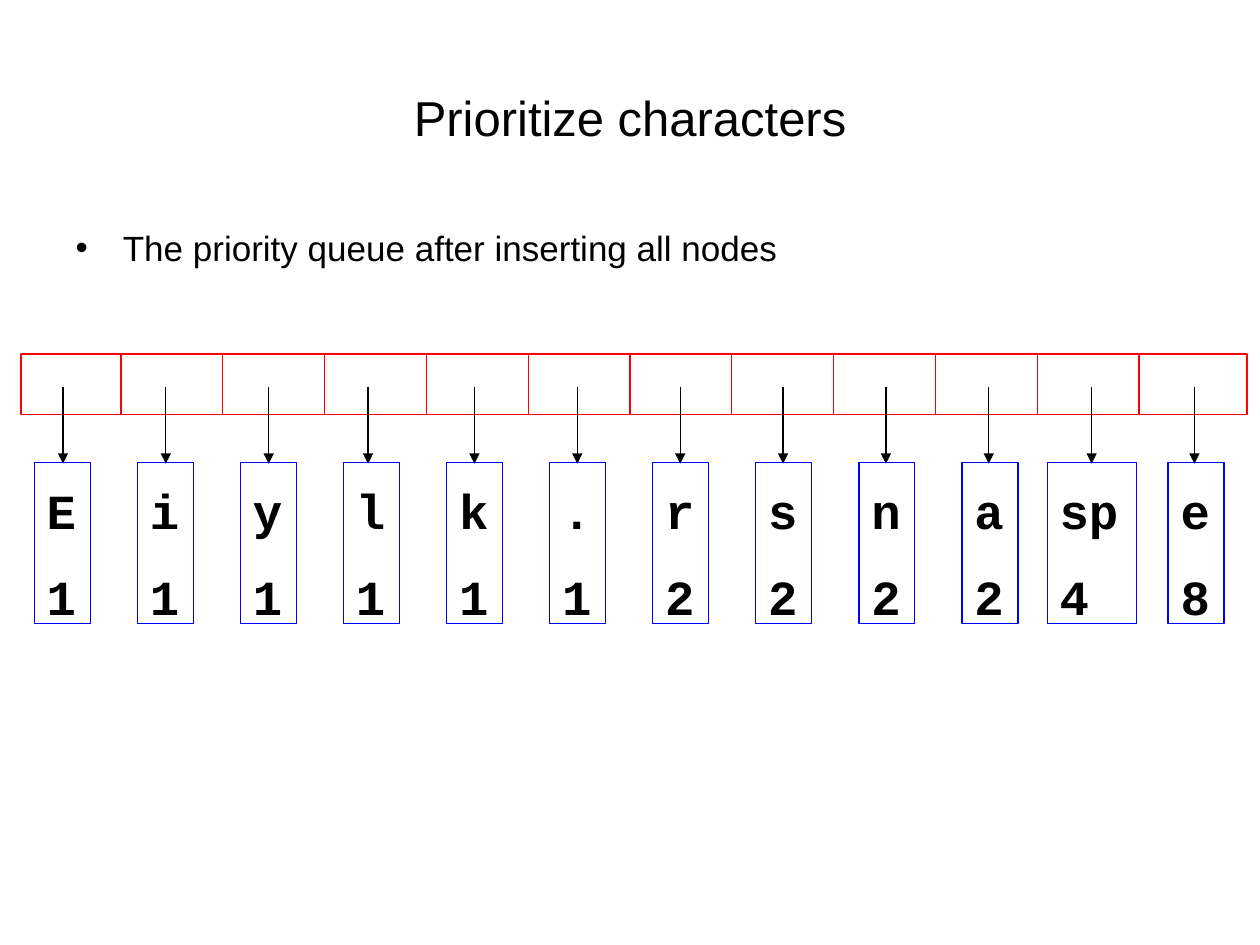
from dataclasses import dataclass

from lxml import etree
from pptx import Presentation
from pptx.dml.color import RGBColor
from pptx.enum.shapes import MSO_CONNECTOR, MSO_SHAPE
from pptx.enum.text import MSO_ANCHOR, PP_ALIGN
from pptx.oxml.ns import qn
from pptx.util import Pt

LINE = MSO_CONNECTOR.STRAIGHT
RECT = MSO_SHAPE.RECTANGLE
TOP = MSO_ANCHOR.TOP
MIDDLE = MSO_ANCHOR.MIDDLE
LEFT = PP_ALIGN.LEFT
CENTER = PP_ALIGN.CENTER

BLACK = RGBColor(0, 0, 0)
WHITE = RGBColor(255, 255, 255)
RED = RGBColor(255, 0, 0)
BLUE = RGBColor(0, 0, 255)

ROW_TOP, ROW_END = 202.3, 236.9
CELL_X, CELL_STEP = 69.1, 58.18
TIP_TOP, TIP_END = 221, 265
TIP_X, TIP_STEP = 36, 58.78
NODE_X, NODE_STEP = 19.6, 58.9
NODE_TOP, NODE_H = 264.2, 92.2


@dataclass
class Node:
    char: str
    count: int
    width: float = 32
    shift: float = 0
    tip: float = 0


NODES = [
    Node("E", 1),
    Node("i", 1),
    Node("y", 1),
    Node("l", 1, tip=-2),
    Node("k", 1),
    Node(".", 1),
    Node("r", 2),
    Node("s", 2),
    Node("n", 2),
    Node("a", 2),
    Node("sp", 4, width=51.1, shift=-10.2),
    Node("e", 8),
]


def style(para, name: str, size: float, bold: bool = False) -> None:
    font = para.font
    font.name = name
    font.size = Pt(size)
    font.bold = bold
    font.color.rgb = BLACK


def fill_holder(holder, text: str, box: tuple, size: float):
    holder.left, holder.top, holder.width, holder.height = map(Pt, box)
    holder.text_frame.text = text
    para = holder.text_frame.paragraphs[0]
    style(para, "Arial", size)
    return para


def add_rect(slide, box: tuple, color: RGBColor):
    rect = slide.shapes.add_shape(RECT, *map(Pt, box))
    rect.shadow.inherit = False
    rect.fill.background()
    rect.line.color.rgb = color
    rect.line.width = Pt(0.75)
    return rect


def add_line(slide, x: float, top: float, end: float, color: RGBColor):
    line = slide.shapes.add_connector(LINE, Pt(x), Pt(top), Pt(x), Pt(end))
    line.line.color.rgb = color
    line.line.width = Pt(0.75)
    etree.SubElement(line._element.spPr, qn("a:effectLst"))
    return line


def add_arrow(slide, x: float) -> None:
    arrow = add_line(slide, x, TIP_TOP, TIP_END, BLACK)
    tail = etree.SubElement(arrow.line._get_or_add_ln(), qn("a:tailEnd"))
    tail.set("type", "triangle")


def add_node(slide, node: Node, x: float) -> None:
    rect = add_rect(slide, (x, NODE_TOP, node.width, NODE_H), BLUE)
    frame = rect.text_frame
    frame.word_wrap = True
    frame.vertical_anchor = TOP
    frame.margin_top = Pt(10.1)
    frame.margin_bottom = Pt(0)
    frame.text = f"{node.char}\n{node.count}"
    for para in frame.paragraphs:
        para.alignment = LEFT
        style(para, "Courier New", 28, True)
    frame.paragraphs[1].space_before = Pt(15.7)


def main() -> None:
    deck = Presentation()
    deck.slide_width, deck.slide_height = Pt(720), Pt(540)
    slide = deck.slides.add_slide(deck.slide_layouts[1])

    title, body = slide.placeholders
    head = fill_holder(title, "Prioritize characters", (36, 21.6, 648, 90), 28)
    head.alignment = CENTER
    title.text_frame.vertical_anchor = MIDDLE
    fill_holder(body, "The priority queue after inserting all nodes",
                (36, 126, 648, 356.4), 20)

    row = add_rect(slide, (12, ROW_TOP, 700.6, ROW_END - ROW_TOP), RED)
    row.fill.solid()
    row.fill.fore_color.rgb = WHITE
    for i in range(len(NODES) - 1):
        add_line(slide, CELL_X + i * CELL_STEP, ROW_TOP, ROW_END, RED)
    for i, node in enumerate(NODES):
        add_arrow(slide, TIP_X + i * TIP_STEP + node.tip)
        add_node(slide, node, NODE_X + i * NODE_STEP + node.shift)

    deck.save("out.pptx")


if __name__ == "__main__":
    main()
